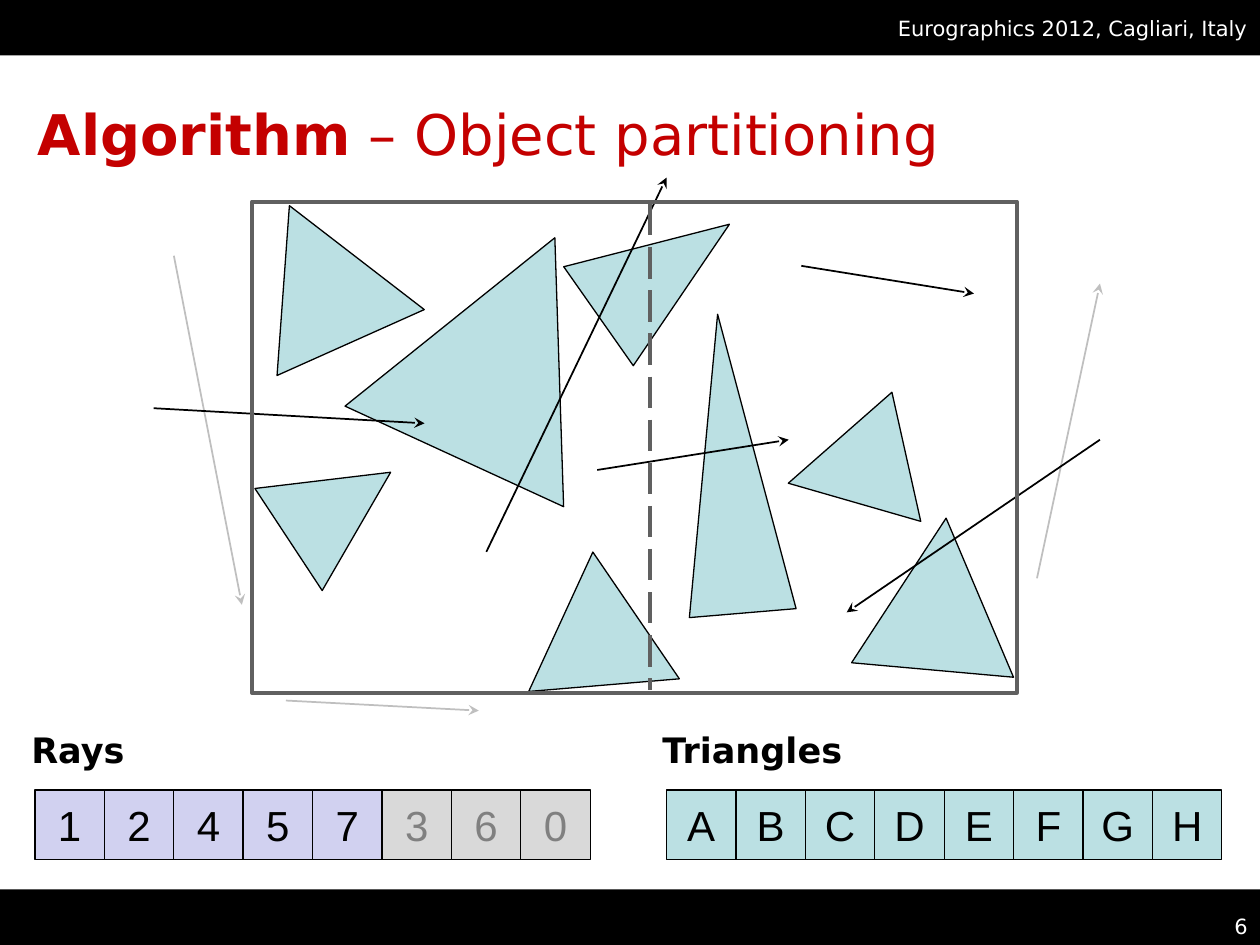
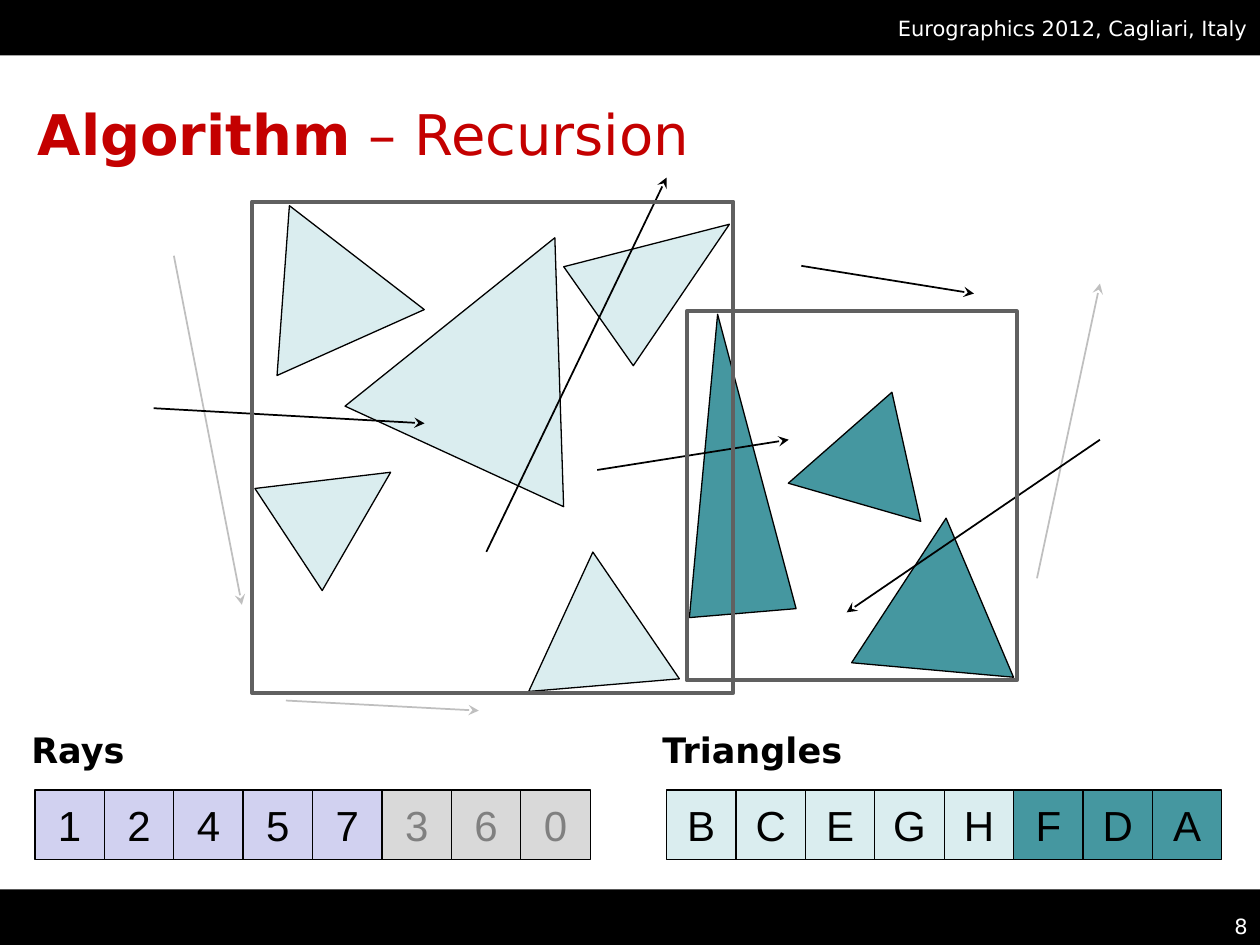
import lxml.etree
import pptx
import pptx.dml.color
import pptx.enum.dml
import pptx.enum.shapes
import pptx.enum.text
import pptx.oxml.ns
import pptx.util

SHAPE = pptx.enum.shapes.MSO_SHAPE
ALIGN = pptx.enum.text.PP_ALIGN
ANCHOR = pptx.enum.text.MSO_ANCHOR
LINK = pptx.enum.shapes.MSO_CONNECTOR.STRAIGHT
DASH = pptx.enum.dml.MSO_LINE.LONG_DASH
qn = pptx.oxml.ns.qn

BLACK, WHITE, RED = "000000", "FFFFFF", "C40000"
GREY, PALE, DIM = "606060", "BFBFBF", "808080"
LILAC, SILVER = "D1D1F0", "D9D9D9"
AQUA, MIST, TEAL = "BBE0E3", "DAEDEF", "4597A0"


def hue(code):
    return pptx.dml.color.RGBColor.from_string(code)


def write(shape, text, size=12, font="DejaVu Sans", ink=BLACK, bold=False,
          align=ALIGN.LEFT, anchor=ANCHOR.MIDDLE):
    frame = shape.text_frame
    frame.word_wrap = True
    frame.vertical_anchor = anchor
    line = frame.paragraphs[0]
    line.alignment = align
    run = line.add_run()
    run.text = text
    run.font.size = pptx.util.Pt(size)
    run.font.name = font
    run.font.bold = bold
    run.font.color.rgb = hue(ink)


deck = pptx.Presentation()
deck.slide_width = pptx.util.Inches(10)
deck.slide_height = pptx.util.Inches(7.5)
unit = deck.slide_width // 100

plan = deck.slide_layouts[5]
head = plan.placeholders[0]
head.left, head.top, head.width, head.height = [
    int(n * unit) for n in (2, 5.2, 96.1, 10.8)]
slides = [deck.slides.add_slide(plan) for _ in range(2)]

for row, text in ((0, "Eurographics 2012, Cagliari, Italy"), (70.6, "")):
    band = slides[0].shapes.add_shape(
        SHAPE.RECTANGLE, 0, int(row * unit), 100 * unit, int(4.4 * unit))
    band.shadow.inherit = False
    band.fill.solid()
    band.fill.fore_color.rgb = hue(BLACK)
    band.line.fill.background()
    if text:
        write(band, text, ink=WHITE, align=ALIGN.RIGHT)
    plan.shapes.element.insert(2, band.element)

tris = (
    (19, 15.8, 12.8, 11.9, 335.9, 0),
    (30.5, 18, 19.1, 19.1, 24.7, 0),
    (22.1, 35.3, 9.7, 9.7, 56.6, 0),
    (53.7, 24.9, 8.5, 23.8, 355.2, 1),
    (41.5, 43.8, 12, 10.6, 355.2, 0),
    (62, 32.5, 10.5, 9.6, 257.4, 1),
    (47.9, 15.1, 9.6, 12.7, 54.9, 0),
    (68.1, 41.1, 12.9, 12.1, 5.1, 1),
)
rays = (
    (13.8, 20.3, 19.2, 48, PALE),
    (38.6, 43.8, 52.9, 14.1, BLACK),
    (63.6, 21.1, 77.3, 23.3, BLACK),
    (82.3, 45.9, 87.3, 22.5, PALE),
    (87.3, 34.9, 67.2, 48.6, BLACK),
    (22.7, 55.6, 38, 56.4, PALE),
    (47.4, 37.3, 62.6, 34.9, BLACK),
    (12.2, 32.4, 33.7, 33.6, BLACK),
)
pages = (
    ("Object partitioning", "6", "ABCDEFGH", (AQUA, AQUA),
     [(51.6, 16.2, 51.6, 54.8)], [(20, 16, 60.7, 39)]),
    ("Recursion", "8", "BCEGHFDA", (MIST, TEAL),
     [], [(20, 16, 38.2, 39), (54.5, 24.7, 26.2, 29.3)]),
)

for slide, (topic, page, names, tones, cuts, frames) in zip(slides, pages):
    title = slide.shapes.title
    write(title, "Algorithm", size=32, ink=RED, bold=True)
    write(title, f" – {topic}", size=32, ink=RED)

    for spot, text, look in (
            ((79.2, 72, 20.8, 2.5), page, dict(ink=WHITE, align=ALIGN.RIGHT)),
            ((1.5, 57.3, 20, 5), "Rays", dict(size=20, bold=True)),
            ((51.6, 57.3, 20, 5), "Triangles", dict(size=20, bold=True))):
        label = slide.shapes.add_textbox(*[int(n * unit) for n in spot])
        write(label, text, anchor=ANCHOR.TOP, **look)

    parts = [(SHAPE.ISOSCELES_TRIANGLE, spot, turn, tones[side], BLACK, 0.75, "", BLACK)
             for *spot, turn, side in tris]
    for left, marks, fills, late in (
            (2.77, "12457360", (LILAC, SILVER), DIM),
            (52.9, names, tones, BLACK)):
        for col, mark in enumerate(marks):
            rest = col > 4
            parts.append((SHAPE.RECTANGLE, (left + 5.51 * col, 62.7, 5.51, 5.5), 0,
                          fills[rest], BLACK, 0.75, mark, late if rest else BLACK))
    parts += [(LINK, spot, 0, None, ink, 1, "", BLACK) for *spot, ink in rays]
    parts += [(LINK, spot, 0, None, GREY, 2.25, "", BLACK) for spot in cuts]
    parts += [(SHAPE.RECTANGLE, spot, 0, None, GREY, 2.25, "", BLACK) for spot in frames]

    for kind, spot, turn, fill, ink, width, mark, tone in parts:
        place = [int(n * unit) for n in spot]
        if kind is LINK:
            item = slide.shapes.add_connector(kind, *place)
        else:
            item = slide.shapes.add_shape(kind, *place)
            item.shadow.inherit = False
            item.rotation = turn
            if fill:
                item.fill.solid()
                item.fill.fore_color.rgb = hue(fill)
            else:
                item.fill.background()
        item.line.color.rgb = hue(ink)
        item.line.width = pptx.util.Pt(width)
        if mark:
            write(item, mark, size=24, font="Arial", ink=tone, align=ALIGN.CENTER)
        if kind is LINK:
            look = item.element.spPr
            if ink == GREY:
                item.line.dash_style = DASH
            else:
                lxml.etree.SubElement(look.find(qn("a:ln")), qn("a:tailEnd"), type="stealth")
            lxml.etree.SubElement(look, qn("a:effectLst"))

deck.save("out.pptx")
